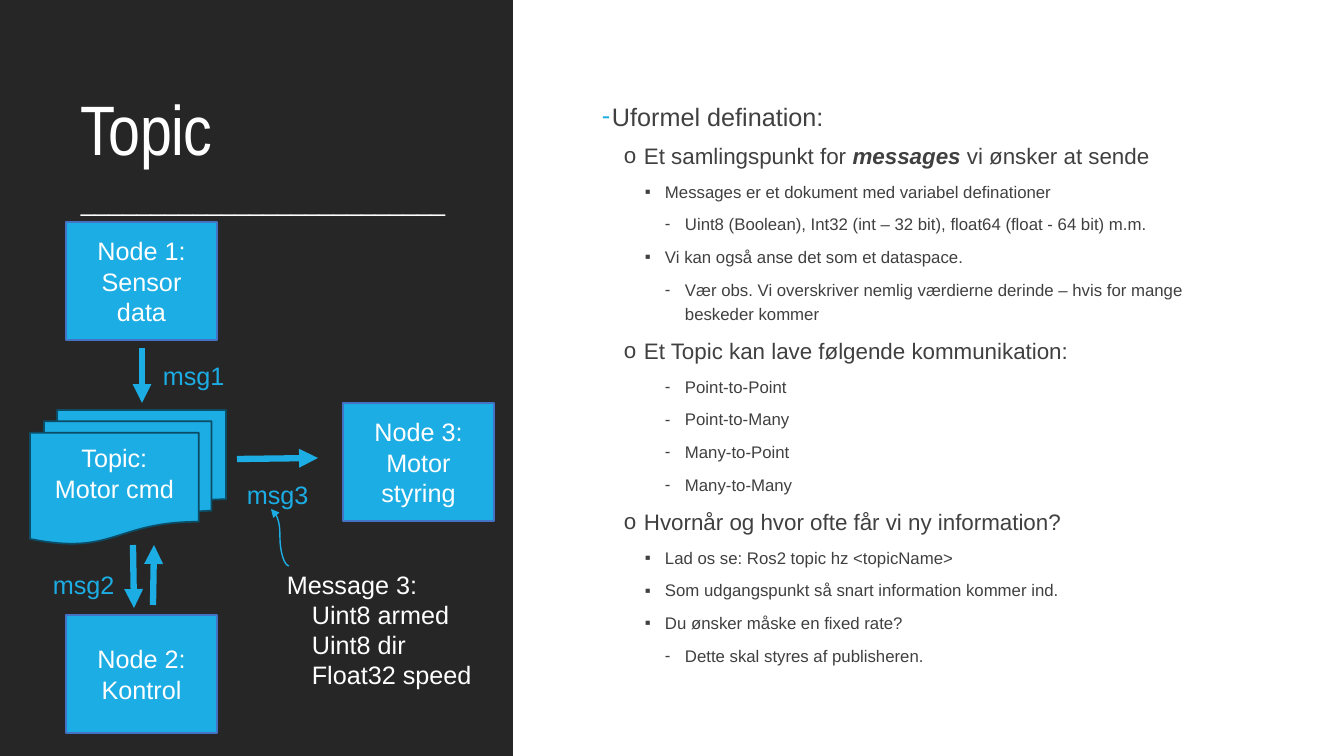
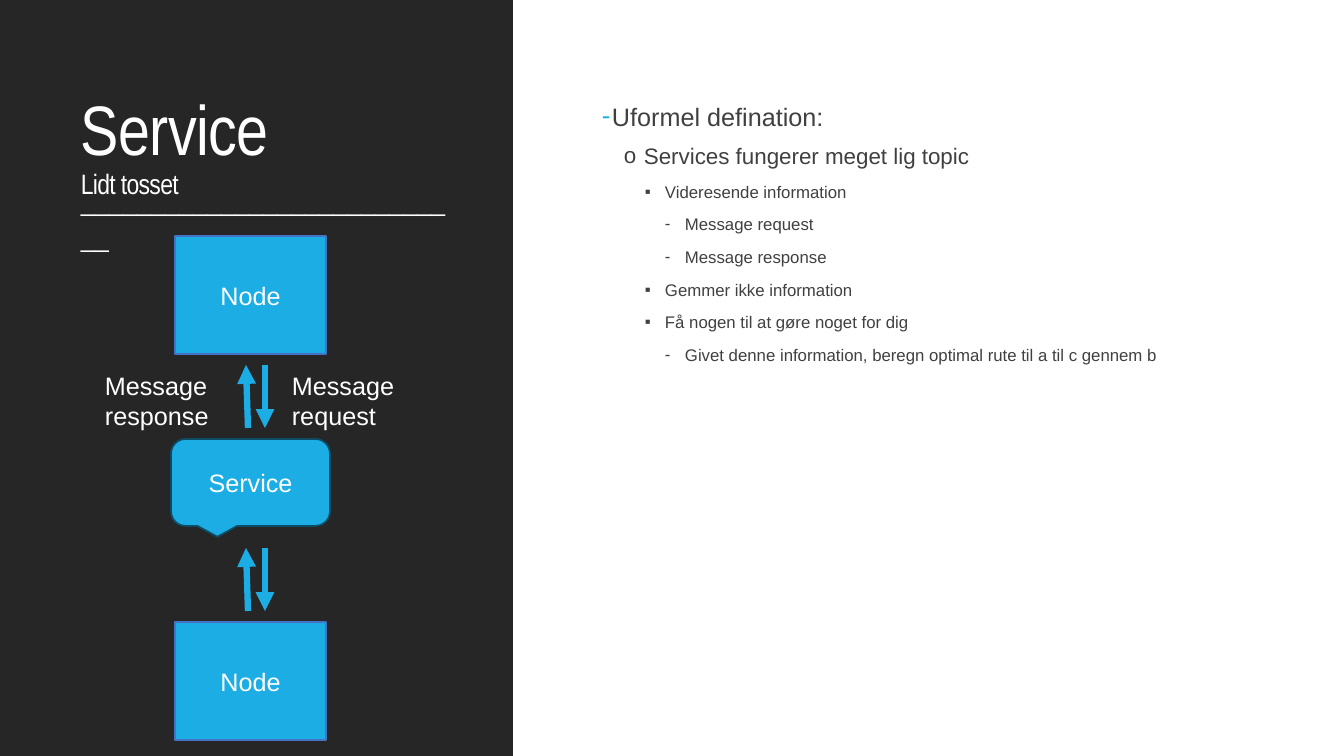
import pptx
import pptx.dml.color
import pptx.enum.shapes
import pptx.enum.text
import pptx.oxml.ns
import pptx.util
import lxml.etree

shapes = pptx.enum.shapes.MSO_SHAPE
links = pptx.enum.shapes.MSO_CONNECTOR
anchor = pptx.enum.text.MSO_ANCHOR
center = pptx.enum.text.PP_ALIGN.CENTER
Pt = pptx.util.Pt
rgb = pptx.dml.color.RGBColor.from_string
qn = pptx.oxml.ns.qn
px = 914400 / 100.8


class Theme:
    dark, white, ink = "262626", "FFFFFF", "404040"
    sky, edge, deep = "1CADE4", "4472C4", "0C4C64"
    sans, slim = "Arial", "Arial Narrow"
    big, sub, text, mid, small = 50, 20, 18, 16, 12
    thin, thick, rim = 1, 4.5, 1.25


head = {"line_spacing": 1.2, "space_before": Pt(12), "space_after": Pt(2)}
item = {"line_spacing": 1.2, "space_before": Pt(2), "space_after": Pt(4)}
tight = {"line_spacing": 0.9}
mid = {"alignment": center}
top = {"word_wrap": True, "vertical_anchor": anchor.TOP}
middle = {"word_wrap": True, "vertical_anchor": anchor.MIDDLE}
flush = {**top, "margin_left": 0, "margin_right": 0}
sheet = {**top, "margin_top": round(10 * px)}

looks = {
    "title": {"font": Theme.slim, "tint": Theme.white, "frame": top, "track": "-50", "levels": [
        {"size": Theme.big, "para": tight}, {"size": Theme.sub, "para": tight}]},
    "body": {"font": Theme.sans, "tint": Theme.ink, "frame": flush, "levels": [
        {"size": Theme.text, "para": head, "left": 10, "hang": 10, "mark": "-", "hue": Theme.sky},
        {"size": Theme.mid, "para": item, "left": 42, "hang": 20, "mark": "o"},
        {"size": Theme.small, "para": item, "left": 63, "hang": 20, "mark": "▪"},
        {"size": Theme.small, "para": item, "left": 83, "hang": 20, "mark": "-"}]},
    "rule": {"font": Theme.sans, "tint": Theme.white, "frame": top, "levels": [
        {"size": Theme.text, "para": head}]},
    "node": {"font": Theme.sans, "tint": Theme.white, "frame": middle, "levels": [
        {"size": Theme.text, "para": mid}]},
    "sheet": {"font": Theme.sans, "tint": Theme.white, "frame": sheet, "levels": [
        {"size": Theme.text, "para": mid}]},
    "note": {"font": Theme.sans, "tint": Theme.white, "frame": top, "levels": [
        {"size": Theme.text, "para": {}},
        {"size": Theme.text, "para": {}, "left": 25, "hang": 0}]},
    "msg": {"font": Theme.sans, "tint": Theme.sky, "frame": top, "levels": [
        {"size": Theme.text, "para": {}}]},
}

node = (shapes.RECTANGLE, Theme.edge, "node")
stack = (shapes.FLOWCHART_MULTIDOCUMENT, Theme.deep, "sheet")
call = (shapes.ROUNDED_RECTANGULAR_CALLOUT, Theme.deep, "node")
pages = [
    {
        "title": [(0, "Topic")],
        "body": [
            (0, "Uformel defination:"),
            (1, "Et samlingspunkt for *messages *vi ønsker at sende"),
            (2, "Messages er et dokument med variabel definationer"),
            (3, "Uint8 (Boolean), Int32 (int – 32 bit), float64 (float - 64 bit) m.m."),
            (2, "Vi kan også anse det som et dataspace."),
            (3, "Vær obs. Vi overskriver nemlig værdierne derinde – hvis for mange beskeder kommer"),
            (1, "Et Topic kan lave følgende kommunikation:"),
            (3, "Point-to-Point"),
            (3, "Point-to-Many"),
            (3, "Many-to-Point"),
            (3, "Many-to-Many"),
            (1, "Hvornår og hvor ofte får vi ny information?"),
            (2, "Lad os se: Ros2 topic hz <topicName>"),
            (2, "Som udgangspunkt så snart information kommer ind."),
            (2, "Du ønsker måske en fixed rate?"),
            (3, "Dette skal styres af publisheren."),
        ],
        "boxes": [
            (node, (66, 222, 151, 118), [(0, "Node 1:"), (0, "Sensor data")]),
            (stack, (30, 410, 196, 134), [(0, "Topic:"), (0, "Motor cmd")]),
            (node, (66, 615, 151, 118), [(0, "Node 2:"), (0, "Kontrol")]),
            (node, (343, 403, 151, 118), [(0, "Node 3:"), (0, "Motor styring")]),
        ],
        "arrows": [
            (links.STRAIGHT, Theme.thick, (142, 348, 142, 403)),
            (links.STRAIGHT, Theme.thick, (133, 545, 134, 608)),
            (links.STRAIGHT, Theme.thick, (153, 605, 154, 545)),
            (links.STRAIGHT, Theme.thick, (237, 459, 318, 458)),
            (links.CURVE, Theme.thin, (289, 566, 271, 509)),
        ],
        "labels": [
            ("msg", (153, 355, 95, 40), [(0, "msg1")]),
            ("msg", (43, 564, 95, 40), [(0, "msg2")]),
            ("msg", (237, 474, 95, 40), [(0, "msg3")]),
            ("note", (277, 564, 232, 163), [
                (0, "Message 3:"), (1, "Uint8 armed"), (1, "Uint8 dir"), (1, "Float32 speed")]),
        ],
    },
    {
        "title": [(0, "Service"), (1, "Lidt tosset")],
        "body": [
            (0, "Uformel defination:"),
            (1, "Services fungerer meget lig topic"),
            (2, "Videresende information"),
            (3, "Message request"),
            (3, "Message response"),
            (2, "Gemmer ikke information"),
            (2, "Få nogen til at gøre noget for dig"),
            (3, "Givet denne information, beregn optimal rute til a til c gennem b"),
        ],
        "boxes": [
            (node, (175, 236, 151, 118), [(0, "Node")]),
            (node, (175, 622, 151, 118), [(0, "Node")]),
            (call, (171, 439, 159, 87), [(0, "Service")]),
        ],
        "arrows": [
            (links.STRAIGHT, Theme.thick, ends)
            for y in (365, 548)
            for ends in ((265, y, 265, y + 63), (248, y + 63, 246, y))
        ],
        "labels": [
            ("note", (282, 365, 140, 102), [(0, "Message request")]),
            ("note", (95, 365, 231, 102), [(0, "Message response")]),
        ],
    },
]


def write(shape, lines, kind):
    look = looks[kind]
    frame = shape.text_frame
    for key, val in look["frame"].items():
        setattr(frame, key, val)
    for num, (depth, text) in enumerate(lines):
        level = look["levels"][depth]
        para = frame.add_paragraph() if num else frame.paragraphs[0]
        for key, val in level["para"].items():
            setattr(para, key, val)
        props = para._p.get_or_add_pPr()
        if "left" in level:
            props.set("marL", str(round(level["left"] * px)))
            props.set("indent", str(round(-level["hang"] * px)))
        if "mark" in level:
            tone = lxml.etree.SubElement(props, qn("a:buClr"))
            lxml.etree.SubElement(tone, qn("a:srgbClr"), val=level.get("hue", look["tint"]))
            lxml.etree.SubElement(props, qn("a:buFont"), typeface=look["font"])
            lxml.etree.SubElement(props, qn("a:buChar"), char=level["mark"])
        for part, words in enumerate(text.split("*")):
            run = para.add_run()
            run.text = words
            strong = part % 2 == 1
            form = {"name": look["font"], "size": Pt(level["size"]), "bold": strong, "italic": strong}
            for key, val in form.items():
                setattr(run.font, key, val)
            run.font.color.rgb = rgb(look["tint"])
            if "track" in look:
                run._r.get_or_add_rPr().set("spc", look["track"])


def place(slide, shape, spot, fill, edge=None):
    box = slide.shapes.add_shape(shape, *[round(n * px) for n in spot])
    box.shadow.inherit = False
    box.fill.solid()
    box.fill.fore_color.rgb = rgb(fill)
    if edge:
        box.line.color.rgb = rgb(edge)
        box.line.width = Pt(Theme.rim)
    else:
        box.line.fill.background()
    return box


deck = pptx.Presentation()
deck.slide_width, deck.slide_height = round(1344 * px), round(756 * px)

for page in pages:
    slide = deck.slides.add_slide(deck.slide_layouts[6])
    place(slide, shapes.RECTANGLE, (0, 0, 513, 756), Theme.dark)

    texts = [
        ("title", (71, 90, 388, 62), page["title"]),
        ("body", (602, 90, 653, 584), page["body"]),
        ("rule", (71, 175, 388, 338), [(0, "_" * 28)]),
    ]
    for kind, spot, lines in texts:
        write(slide.shapes.add_textbox(*[round(n * px) for n in spot]), lines, kind)

    for (shape, edge, kind), spot, lines in page["boxes"]:
        write(place(slide, shape, spot, Theme.sky, edge), lines, kind)

    for kind, width, ends in page["arrows"]:
        arrow = slide.shapes.add_connector(kind, *[round(n * px) for n in ends])
        arrow.line.color.rgb = rgb(Theme.sky)
        arrow.line.width = Pt(width)
        props = arrow._element.spPr
        lxml.etree.SubElement(props.find(qn("a:ln")), qn("a:tailEnd"), type="triangle")
        lxml.etree.SubElement(props, qn("a:effectLst"))

    for kind, spot, lines in page["labels"]:
        write(slide.shapes.add_textbox(*[round(n * px) for n in spot]), lines, kind)

deck.save("out.pptx")
